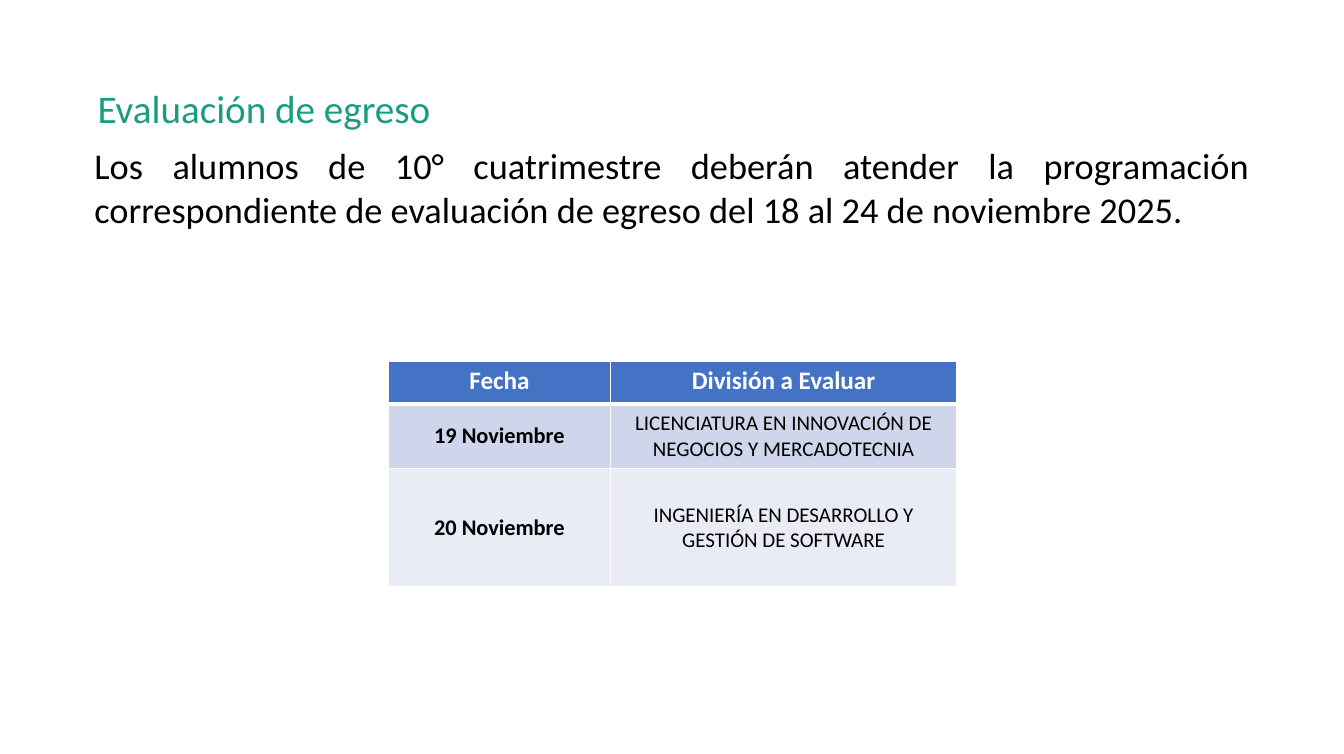
from dataclasses import dataclass

from lxml import etree
from pptx import Presentation
from pptx import util as u
from pptx.dml.color import RGBColor
from pptx.enum import text
from pptx.oxml import ns

PX = 9144


@dataclass(frozen=True)
class Theme:
    font: str = "Calibri"
    green: str = "199C7F"
    black: str = "000000"
    white: str = "FFFFFF"
    header_blue: str = "4472C4"
    bands: tuple = ("CFD5EA", "E9EBF5")
    title_size: int = 28
    notice_size: int = 26
    header_size: int = 18
    date_size: int = 16
    division_size: int = 15
    border: int = 1
    header_border: int = 3


THEME = Theme()

SCHEDULE = [
    ("Fecha", "División a Evaluar"),
    ("19 Noviembre", "LICENCIATURA EN INNOVACIÓN DE NEGOCIOS Y MERCADOTECNIA"),
    ("20 Noviembre", "INGENIERÍA EN DESARROLLO Y GESTIÓN DE SOFTWARE"),
]


def px(box):
    return [length * PX for length in box]


def write(frame, words, size, color, align, bold=False):
    frame.word_wrap = True
    frame.text = words
    paragraph = frame.paragraphs[0]
    paragraph.alignment = align
    font = paragraph.font
    font.name = THEME.font
    font.size = u.Pt(size)
    font.bold = bold
    font.color.rgb = RGBColor.from_string(color)
    return paragraph


def add_heading(slide, box):
    heading = slide.shapes.title
    heading.left, heading.top, heading.width, heading.height = px(box)
    frame = heading.text_frame
    paragraph = write(frame, "Evaluación de egreso", THEME.title_size,
                      THEME.green, text.PP_ALIGN.LEFT)
    paragraph.line_spacing = 0.9
    frame.vertical_anchor = text.MSO_ANCHOR.TOP
    frame.auto_size = text.MSO_AUTO_SIZE.NONE


def add_notice(slide, box):
    notice = slide.shapes.add_textbox(*px(box))
    write(notice.text_frame,
          "Los alumnos de 10° cuatrimestre deberán atender la programación "
          "correspondiente de evaluación de egreso del 18 al 24 de noviembre 2025.",
          THEME.notice_size, THEME.black, text.PP_ALIGN.JUSTIFY)


def add_borders(cell, top, bottom):
    properties = cell._tc.get_or_add_tcPr()
    widths = {"lnL": THEME.border, "lnR": THEME.border, "lnT": top, "lnB": bottom}
    for side, width in widths.items():
        line = etree.SubElement(properties, ns.qn(f"a:{side}"), w=str(u.Pt(width)))
        fill = etree.SubElement(line, ns.qn("a:solidFill"))
        etree.SubElement(fill, ns.qn("a:srgbClr"), val=THEME.white)


def add_schedule(slide, box, column_widths, row_heights):
    schedule = slide.shapes.add_table(len(SCHEDULE), len(SCHEDULE[0]), *px(box)).table
    for column, width in zip(schedule.columns, column_widths):
        column.width = width * PX
    for row, height in zip(schedule.rows, row_heights):
        row.height = height * PX

    for r, entry in enumerate(SCHEDULE):
        is_header = r == 0
        fill = THEME.header_blue if is_header else THEME.bands[(r - 1) % 2]
        color = THEME.white if is_header else THEME.black
        for c, words in enumerate(entry):
            cell = schedule.cell(r, c)
            body_size = THEME.date_size if c == 0 else THEME.division_size
            write(cell.text_frame, words,
                  THEME.header_size if is_header else body_size,
                  color, text.PP_ALIGN.CENTER, bold=is_header or c == 0)
            add_borders(cell,
                        THEME.header_border if r == 1 else THEME.border,
                        THEME.header_border if is_header else THEME.border)
            cell.fill.solid()
            cell.fill.fore_color.rgb = RGBColor.from_string(fill)
            cell.vertical_anchor = (text.MSO_ANCHOR.TOP if is_header
                                    else text.MSO_ANCHOR.MIDDLE)


def main():
    deck = Presentation()
    deck.slide_width, deck.slide_height = px((1336, 750))
    slide = deck.slides.add_slide(deck.slide_layouts[5])
    add_heading(slide, (87, 84, 668, 54))
    add_notice(slide, (84, 138, 1169, 141))
    add_schedule(slide, (386, 359, 565, 225), (221, 344), (43, 64, 118))
    deck.save("out.pptx")


if __name__ == "__main__":
    main()
